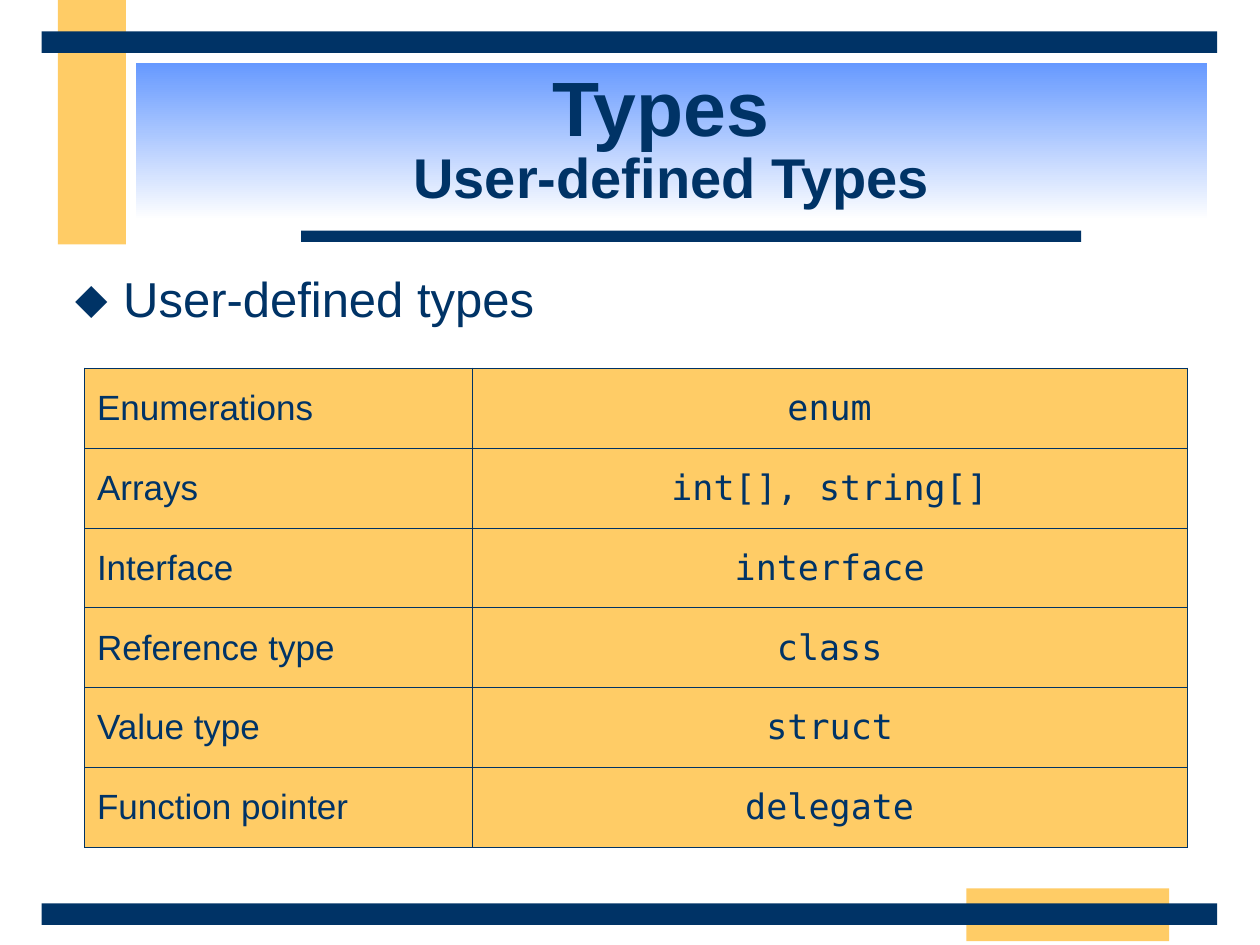
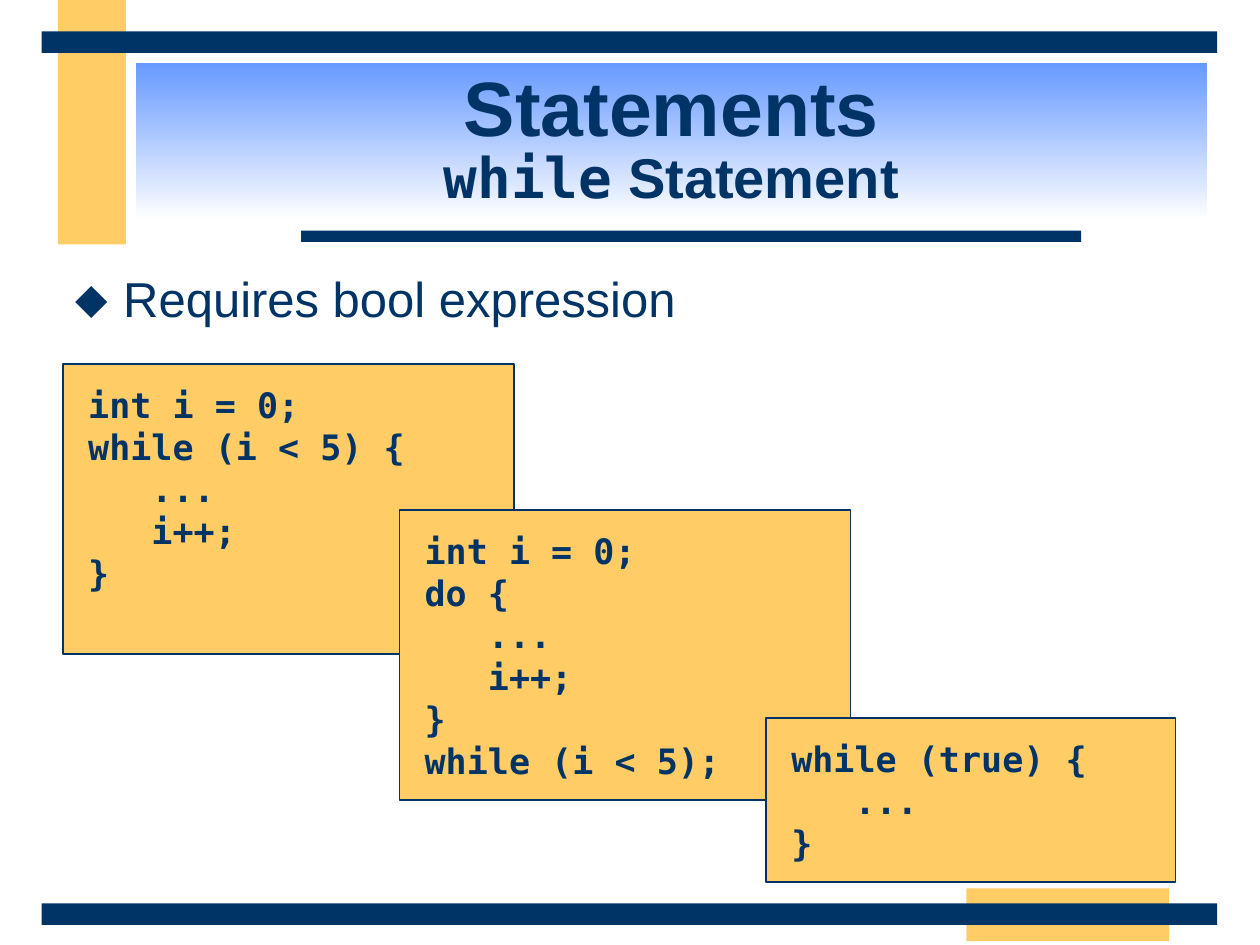
"""Build two slides on types and while statements in a shared navy and amber style."""
from dataclasses import dataclass

from lxml import etree
from pptx import Presentation
from pptx import util as u
from pptx.dml.color import RGBColor
from pptx.enum import shapes, text
from pptx.oxml.ns import qn


@dataclass(frozen=True)
class Theme:
    navy: str = "003366"
    amber: str = "FFCC66"
    sky: str = "6699FF"
    white: str = "FFFFFF"
    sans: str = "Arial"
    mono: str = "DejaVu Sans Mono"
    title: int = 44
    subtitle: int = 32
    body: int = 28
    small: int = 20


theme = Theme()
navy = RGBColor.from_string(theme.navy)
amber = RGBColor.from_string(theme.amber)


def add_box(page, place, color):
    box = page.shapes.add_shape(shapes.MSO_SHAPE.RECTANGLE, *map(u.Inches, place))
    box.shadow.inherit = False
    box.fill.solid()
    box.fill.fore_color.rgb = color
    box.line.fill.background()
    box.text_frame.word_wrap = True
    return box


def style(para, size, face=theme.sans, bold=False, align=text.PP_ALIGN.LEFT):
    para.alignment = align
    para.font.name = face
    para.font.size = u.Pt(size)
    para.font.bold = bold
    para.font.color.rgb = navy


bands = [
    ((0.46, 0, 0.54, 1.94), amber),
    ((7.67, 7.05, 1.61, 0.42), amber),
    ((2.39, 1.83, 6.19, 0.09), navy),
    ((0.33, 7.17, 9.33, 0.17), navy),
    ((0.33, 0.25, 9.33, 0.17), navy),
]
topics = [
    ("Types ", [("User-defined Types", theme.sans)], "User-defined types"),
    ("Statements", [("while", theme.mono), (" Statement", theme.sans)],
     "Requires bool expression"),
]

deck = Presentation()
deck.slide_width, deck.slide_height = u.Inches(10), u.Inches(7.5)
pages = []
for heading, subtitle, bullet in topics:
    page = deck.slides.add_slide(deck.slide_layouts[6])
    pages.append(page)
    for place, color in bands:
        add_box(page, place, color)

    title = add_box(page, (1.08, 0.5, 8.5, 1.25), amber)
    title.fill.gradient()
    title.fill.gradient_angle = 270
    for stop, color in zip(title.fill.gradient_stops, (theme.sky, theme.white)):
        stop.color.rgb = RGBColor.from_string(color)
    title.text_frame.vertical_anchor = text.MSO_ANCHOR.MIDDLE
    para = title.text_frame.paragraphs[0]
    para.line_spacing = 0.85
    style(para, theme.subtitle, bold=True, align=text.PP_ALIGN.CENTER)
    span = para.add_run()
    span.text = heading
    span.font.size = u.Pt(theme.title)
    para.add_line_break()
    for words, face in subtitle:
        span = para.add_run()
        span.text = words
        span.font.name = face

    body = page.shapes.add_textbox(*map(u.Inches, (0.5, 2.08, 9, 4.92)))
    body.text_frame.word_wrap = True
    para = body.text_frame.paragraphs[0]
    para.text = bullet
    props = para._p.get_or_add_pPr()
    props.set("marL", str(u.Inches(0.38)))
    props.set("indent", str(u.Inches(-0.38)))
    tint = etree.SubElement(props, qn("a:buClr"))
    etree.SubElement(tint, qn("a:srgbClr"), val=theme.navy)
    etree.SubElement(props, qn("a:buSzPct"), val="110000")
    etree.SubElement(props, qn("a:buFont"), typeface=theme.mono)
    etree.SubElement(props, qn("a:buChar"), char="◆")
    style(para, theme.body)

types_page, while_page = pages

kinds = [
    ("Enumerations", "enum"),
    ("Arrays", "int[], string[]"),
    ("Interface", "interface"),
    ("Reference type", "class"),
    ("Value type", "struct"),
    ("Function pointer", "delegate"),
]
columns = [
    (3.08, theme.sans, text.PP_ALIGN.LEFT),
    (5.67, theme.mono, text.PP_ALIGN.CENTER),
]
table = types_page.shapes.add_table(
    len(kinds), len(columns), *map(u.Inches, (0.67, 2.92, 8.75, 3.81))).table
for index, (width, face, align) in enumerate(columns):
    table.columns[index].width = u.Inches(width)
    for row, kind in enumerate(kinds):
        cell = table.cell(row, index)
        cell.text = kind[index]
        cell.vertical_anchor = text.MSO_ANCHOR.MIDDLE
        cell.fill.solid()
        cell.fill.fore_color.rgb = amber
        style(cell.text_frame.paragraphs[0], theme.small, face, align=align)
        props = cell._tc.get_or_add_tcPr()
        for order, side in enumerate("LRTB"):
            border = etree.Element(qn(f"a:ln{side}"), w=str(u.Pt(0.45)))
            paint = etree.SubElement(border, qn("a:solidFill"))
            etree.SubElement(paint, qn("a:srgbClr"), val=theme.navy)
            props.insert(order, border)

snippets = [
    ((0.5, 2.89, 3.58, 2.3),
     ["int i = 0;", "while (i < 5) {", "   ...", "   i++;", "}"]),
    ((3.17, 4.05, 3.58, 2.3),
     ["int i = 0;", "do {", "   ...", "   i++;", "}", "while (i < 5);"]),
    ((6.08, 5.7, 3.25, 1.3), ["while (true) {", "   ...", "}"]),
]
for place, lines in snippets:
    box = add_box(while_page, place, amber)
    box.line.color.rgb = navy
    box.line.width = u.Pt(1)
    frame = box.text_frame
    frame.vertical_anchor = text.MSO_ANCHOR.TOP
    frame.margin_left = frame.margin_right = u.Inches(0.2)
    frame.margin_top = frame.margin_bottom = u.Inches(0.15)
    frame.text = "\n".join(lines)
    for para in frame.paragraphs:
        style(para, theme.small, theme.mono, bold=True)

deck.save("out.pptx")
